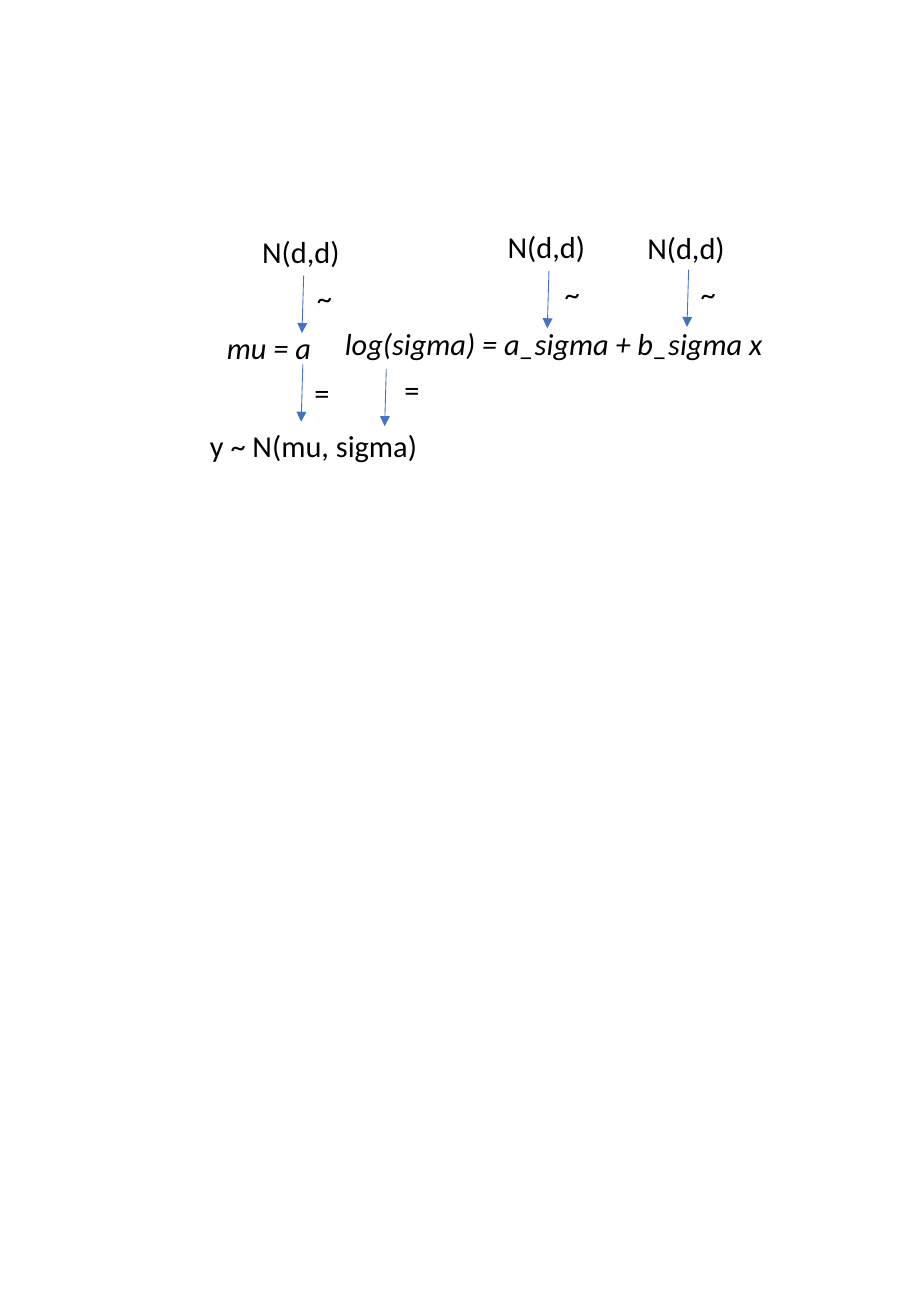
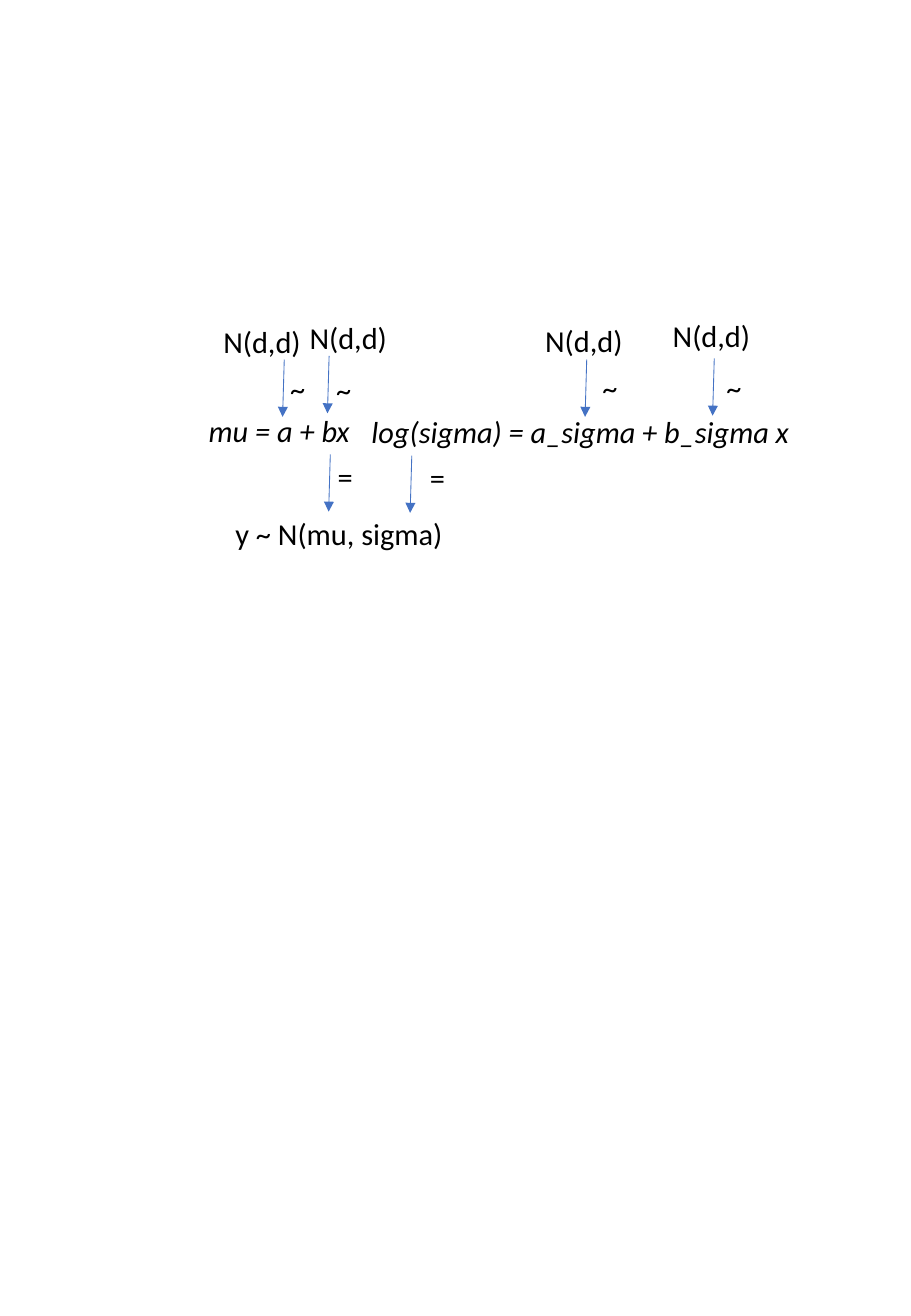
"""Draw two diagrams of distributional regression models with their priors."""
from dataclasses import dataclass
from typing import Optional

from lxml.etree import SubElement
from pptx import Presentation
from pptx.dml.color import RGBColor
from pptx.enum.shapes import MSO_CONNECTOR
from pptx.enum.text import MSO_AUTO_SIZE
from pptx.oxml.ns import qn
from pptx.slide import Slide
from pptx.util import Pt

Point = tuple[float, float]


@dataclass(frozen=True)
class Theme:
    font: str = "Calibri"
    size: float = 18
    ink: RGBColor = RGBColor(0x00, 0x00, 0x00)
    arrow: RGBColor = RGBColor(0x44, 0x72, 0xC4)
    arrow_width: float = 0.5
    arrow_drop: float = 34
    arrow_lean: float = 1
    text_height: float = 29
    sign_width: float = 24
    prior_width: float = 61


@dataclass(frozen=True)
class Formula:
    text: str
    at: Point
    width: float
    italic: bool = True


@dataclass(frozen=True)
class Link:
    start: Point
    sign_at: Point
    prior_at: Optional[Point] = None


@dataclass(frozen=True)
class Model:
    formulas: list[Formula]
    links: list[Link]


THEME = Theme()


def likelihood(at: Point) -> Formula:
    return Formula("y ~ N(mu, sigma)", at, 139, italic=False)


def log_sigma(at: Point) -> Formula:
    return Formula("log(sigma) = a_sigma + b_sigma x", at, 265)


MODELS = [
    Model(
        [likelihood((117.4, 249.8)), log_sigma((197.3, 189.4)),
         Formula("mu = a", (127.4, 191.5), 65)],
        [Link((180, 163.4), (180.7, 162), (148.3, 134.6)),
         Link((325.4, 160.6), (327.6, 159.8), (293.8, 131.8)),
         Link((408.2, 159.8), (408.2, 159.8), (376.6, 132.5)),
         Link((179.5, 216), (179.3, 218.2)),
         Link((229, 218.6), (232.6, 216.7))],
    ),
    Model(
        [likelihood((132.5, 301.7)), log_sigma((213.1, 241.2)),
         Formula("mu = a + bx", (116.6, 240.5), 99)],
        [Link((168.5, 213.1), (164.9, 216), (125.3, 187.9)),
         Link((195.1, 211), (192.2, 216.7), (176.4, 185.8)),
         Link((347.8, 213.1), (349.9, 215.3), (316.1, 187.2)),
         Link((423.4, 212.4), (423.4, 215.3), (391.7, 184.3)),
         Link((195.8, 269.3), (193, 267.8)),
         Link((244.1, 270), (247.7, 268.6))],
    ),
]


def add_text(s: Slide, formula: Formula) -> None:
    x, y = formula.at
    sp = s.shapes.add_textbox(Pt(x), Pt(y), Pt(formula.width), Pt(THEME.text_height))
    tf = sp.text_frame
    tf.word_wrap = False
    tf.auto_size = MSO_AUTO_SIZE.SHAPE_TO_FIT_TEXT
    r = tf.paragraphs[0].add_run()
    r.text = formula.text
    r.font.name = THEME.font
    r.font.size = Pt(THEME.size)
    r.font.italic = formula.italic
    r.font.color.rgb = THEME.ink


def add_arrow(s: Slide, start: Point) -> None:
    x, y = start
    sp = s.shapes.add_connector(
        MSO_CONNECTOR.STRAIGHT, Pt(x), Pt(y),
        Pt(x - THEME.arrow_lean), Pt(y + THEME.arrow_drop))
    sp.line.color.rgb = THEME.arrow
    sp.line.width = Pt(THEME.arrow_width)
    SubElement(sp.line._get_or_add_ln(), qn("a:tailEnd"), type="triangle")
    SubElement(sp._element.spPr, qn("a:effectLst"))


def add_link(s: Slide, link: Link) -> None:
    add_arrow(s, link.start)
    sign = "~" if link.prior_at else "="
    add_text(s, Formula(sign, link.sign_at, THEME.sign_width, italic=False))
    if link.prior_at:
        add_text(s, Formula("N(d,d)", link.prior_at, THEME.prior_width, italic=False))


def main() -> None:
    prs = Presentation()
    prs.slide_width, prs.slide_height = Pt(540), Pt(780)
    for model in MODELS:
        s = prs.slides.add_slide(prs.slide_layouts[6])
        for formula in model.formulas:
            add_text(s, formula)
        for link in model.links:
            add_link(s, link)
    prs.save("out.pptx")


if __name__ == "__main__":
    main()
